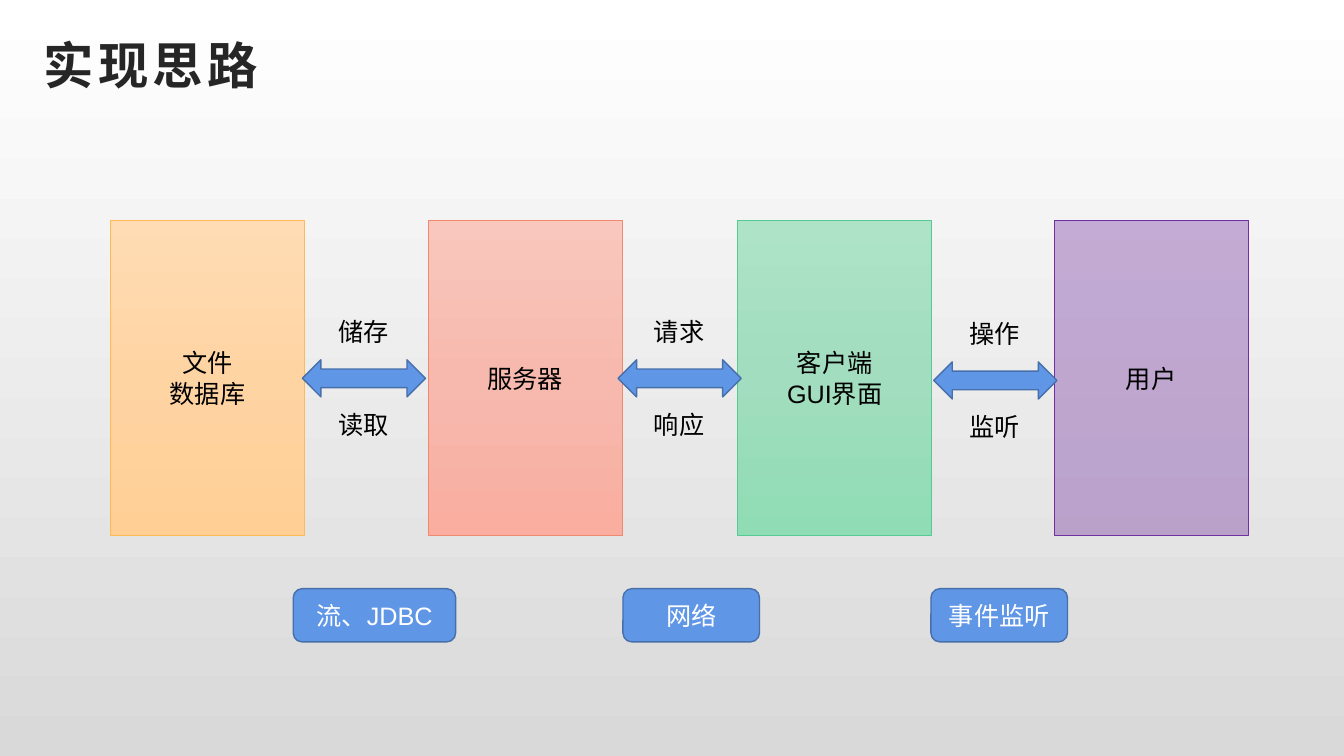
from copy import deepcopy

from lxml.etree import SubElement
from pptx import Presentation
from pptx.dml.color import RGBColor
from pptx.enum.shapes import MSO_SHAPE
from pptx.enum.text import MSO_ANCHOR, MSO_AUTO_SIZE, PP_ALIGN
from pptx.oxml.ns import qn
from pptx.util import Pt

COLORS = {
    "title": "262626", "text": "000000", "white": "FFFFFF", "grey": "D9D9D9",
    "blue": "6096E6", "blue_line": "476FAA", "purple": "7030A0",
    "orange_line": "FFBA55", "red_line": "F18870", "green_line": "56CA95",
    "orange_1": "FFDCB4", "orange_2": "FFD4A3", "orange_3": "FFCF95",
    "red_1": "F9C7BD", "red_2": "F7B9AE", "red_3": "F9AEA0",
    "green_1": "AEE3C8", "green_2": "A1DDBE", "green_3": "90DCB5",
}


def rgb(name):
    return RGBColor.from_string(COLORS[name])


def add_item(kind, x, y, w, h, text="", color="text", line="blue_line", line_width=1):
    """Add a blue shape, or a plain label when kind is None."""
    box = (Pt(x), Pt(y), Pt(w), Pt(h))
    if kind is None:
        sp = s.shapes.add_textbox(*box)
        sp.text_frame.auto_size = MSO_AUTO_SIZE.SHAPE_TO_FIT_TEXT
    else:
        sp = s.shapes.add_shape(kind, *box)
        sp.shadow.inherit = False
        sp.fill.solid()
        sp.fill.fore_color.rgb = rgb("blue")
        sp.line.color.rgb = rgb(line)
        sp.line.width = Pt(line_width)
        sp.text_frame.vertical_anchor = MSO_ANCHOR.MIDDLE
    tf = sp.text_frame
    tf.word_wrap = True
    tf.text = text
    for p in tf.paragraphs:
        p.alignment = PP_ALIGN.LEFT if kind is None else PP_ALIGN.CENTER
        for r in p.runs:
            r.font.name = "Arial"
            r.font.size = Pt(18)
            r.font.color.rgb = rgb(color)
    return sp


prs = Presentation()
prs.slide_width, prs.slide_height = Pt(960), Pt(540)
s = prs.slides.add_slide(prs.slide_layouts[5])

# Background
bg = s.background.fill
bg.gradient()
bg.gradient_angle = 270
for stop, name, position in zip(bg.gradient_stops, ("white", "grey"), (0, 1)):
    stop.color.rgb = rgb(name)
    stop.position = position

# Title
title = s.shapes.title
title.left, title.top, title.width, title.height = Pt(24), Pt(18), Pt(864), Pt(55.5)
tf = title.text_frame
tf.text = "实现思路"
tf.vertical_anchor = MSO_ANCHOR.MIDDLE
p = tf.paragraphs[0]
p.alignment = PP_ALIGN.LEFT
r = p.runs[0]
r.font.name, r.font.size, r.font.bold = "Arial", Pt(36), True
r.font.color.rgb = rgb("title")
r.font._element.set("spc", "300")

# Layers of the system
layers = [
    (79, "文件\n数据库", "orange"),
    (306, "服务器", "red"),
    (527, "客户端\nGUI界面", "green"),
    (753, "用户", "purple"),
]
for x, text, hue in layers:
    line = "purple" if hue == "purple" else f"{hue}_line"
    sp = add_item(MSO_SHAPE.RECTANGLE, x, 157.5, 138.5, 225, text, line=line, line_width=0.5)
    if hue == "purple":
        sp.fill.fore_color.rgb = rgb(hue)
        color = sp._element.spPr.find(qn("a:solidFill"))[0]
        SubElement(color, qn("a:alpha"), val="37000")
    else:
        sp.fill.gradient()
        sp.fill.gradient_angle = 270
        stops = sp._element.spPr.find(".//" + qn("a:gsLst"))
        stops.insert(1, deepcopy(stops[0]))
        for i, stop in enumerate(sp.fill.gradient_stops):
            stop.color.rgb = rgb(f"{hue}_{i + 1}")
            stop.position = i / 2

# Exchanges between neighbouring layers
exchanges = [
    (216, 257, "储存", "读取"),
    (441.5, 257, "请求", "响应"),
    (667, 258.5, "操作", "监听"),
]
for x, y, above, below in exchanges:
    add_item(MSO_SHAPE.LEFT_RIGHT_ARROW, x, y, 88, 26.5)
    add_item(None, x + 18.5, y - 34.5, 67, 29, above)
    add_item(None, x + 18.5, y + 32, 67, 29, below)

# Techniques
for x, w, text in [(209.5, 116, "流、JDBC"), (445, 97.5, "网络"), (665, 97.5, "事件监听")]:
    add_item(MSO_SHAPE.ROUNDED_RECTANGLE, x, 420.5, w, 38, text, color="white")

prs.save("out.pptx")
